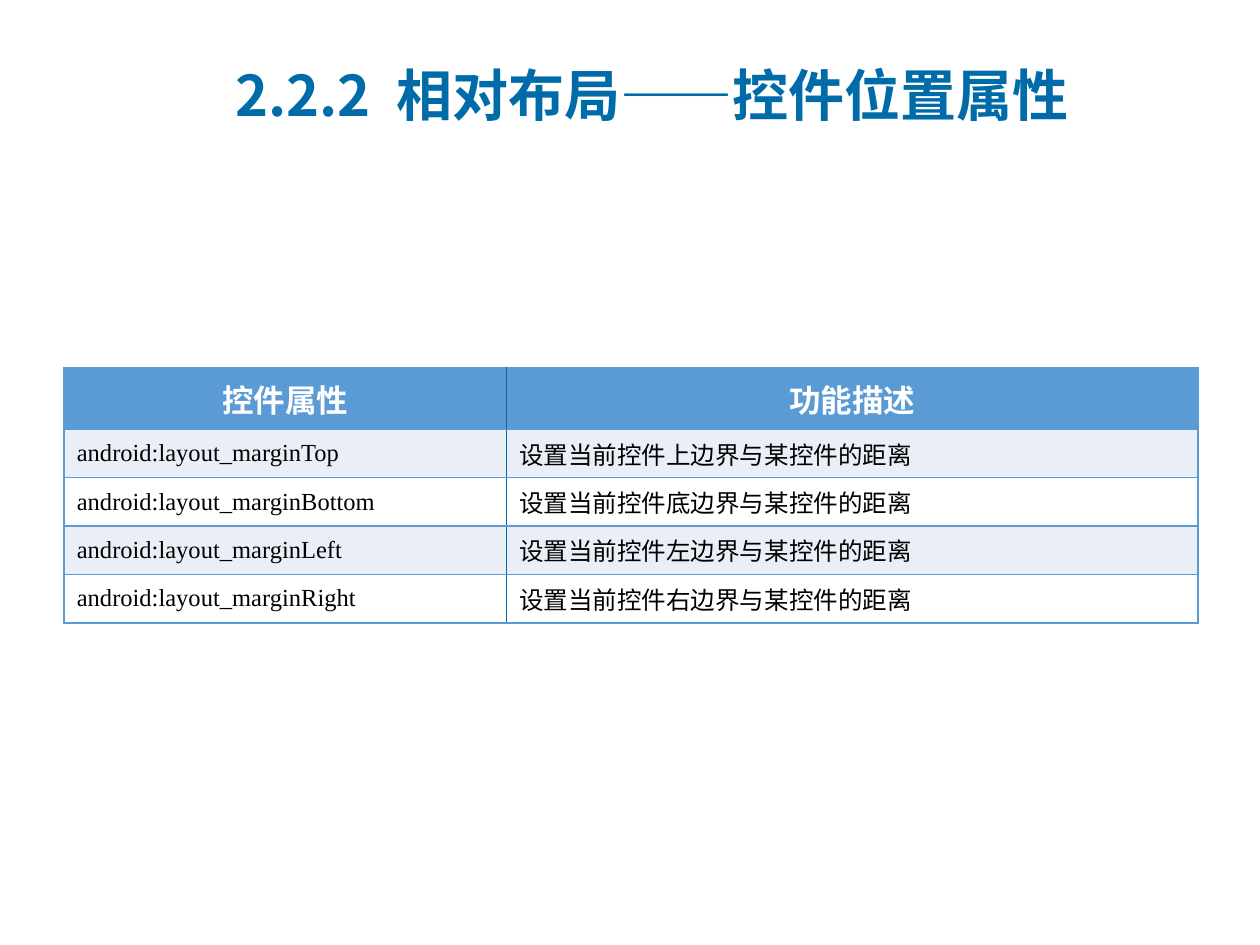
from lxml import etree
from pptx import Presentation
from pptx import util as u
from pptx.dml.color import RGBColor
from pptx.enum import text
from pptx.oxml.ns import qn

W, H = 10, 7.5
HUES = {"blue": "006BA9", "sky": "5B9BD5", "pale": "EAEFF7",
        "white": "FFFFFF", "black": "000000"}
CJK = "Noto Sans CJK SC"
COLS = [0.351, 0.549]
ROWS = [0.49, 0.33, 0.35, 0.33, 0.33]
SIDES = [("Top", "上"), ("Bottom", "底"), ("Left", "左"), ("Right", "右")]


def hue(name):
    return RGBColor.from_string(HUES[name])


def style(para, face, size, color, bold=False):
    font = para.font
    font.name, font.size, font.bold = face, u.Pt(size), bold
    font.color.rgb = hue(color)


def add_title(slide, words):
    box = slide.shapes.add_textbox(u.Inches(0.177 * W), u.Inches(0.059 * H),
                                   u.Inches(0.732 * W), u.Inches(0.081 * H))
    frame = box.text_frame
    frame.word_wrap = True
    frame.vertical_anchor = text.MSO_ANCHOR.MIDDLE
    para = frame.paragraphs[0]
    para.text = words
    props = para._p.get_or_add_pPr()
    props.set("marL", str(u.Inches(0.62)))
    props.set("indent", str(u.Inches(-0.62)))
    style(para, CJK, 32, "blue", True)
    font = para.runs[0].font
    font.name = CJK
    etree.SubElement(font._element, qn("a:ea"), typeface=CJK)


def edge(cell, **sides):
    """Draw 1 pt borders; each side (L, R, T, B) names its colour."""
    props = cell._tc.get_or_add_tcPr()
    for spot, side in enumerate("LRTB"):
        line = etree.Element(qn(f"a:ln{side}"), w=str(u.Pt(1)))
        fill = etree.SubElement(line, qn("a:solidFill"))
        etree.SubElement(fill, qn("a:srgbClr"), val=HUES[sides[side]])
        props.insert(spot, line)


def fill_cell(cell, words, row, col):
    head = row == 0
    cell.text = words
    cell.vertical_anchor = text.MSO_ANCHOR.MIDDLE
    cell.fill.solid()
    cell.fill.fore_color.rgb = hue("sky" if head else "pale" if row % 2 else "white")
    para = cell.text_frame.paragraphs[0]
    if head:
        para.alignment = text.PP_ALIGN.CENTER
        style(para, "Calibri", 18, "white", True)
    else:
        style(para, "Calibri" if col else "Times New Roman", 14, "black")
    edge(cell, L="blue" if col else "sky", R="sky" if col else "blue",
         T="sky", B="sky")


def add_grid(slide, data):
    wide = 0.9 * W
    grid = slide.shapes.add_table(len(data), len(COLS), u.Inches(0.051 * W),
                                  u.Inches(0.389 * H), u.Inches(wide),
                                  u.Inches(sum(ROWS))).table
    for col, share in zip(grid.columns, [c / sum(COLS) for c in COLS]):
        col.width = u.Inches(wide * share)
    for row, tall in zip(grid.rows, ROWS):
        row.height = u.Inches(tall)
    for r, line in enumerate(data):
        for c, words in enumerate(line):
            fill_cell(grid.cell(r, c), words, r, c)


def main():
    deck = Presentation()
    deck.slide_width, deck.slide_height = u.Inches(W), u.Inches(H)
    slide = deck.slides.add_slide(deck.slide_layouts[6])
    add_grid(slide, [("控件属性", "功能描述")] + [
        (f"android:layout_margin{side}", f"设置当前控件{word}边界与某控件的距离")
        for side, word in SIDES])
    add_title(slide, "2.2.2  相对布局——控件位置属性")
    deck.save("out.pptx")


if __name__ == "__main__":
    main()
